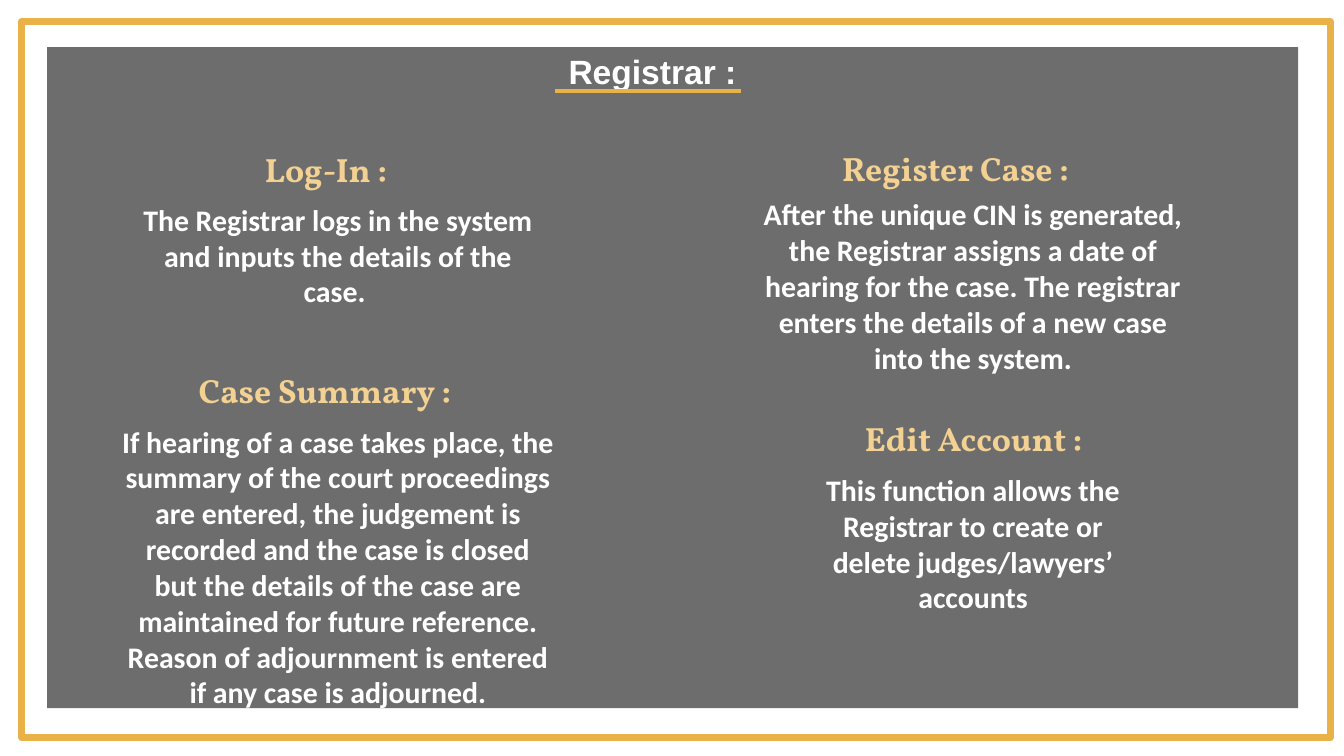
from lxml import etree
from pptx import Presentation
from pptx.dml.color import RGBColor
from pptx.enum import shapes, text
from pptx.oxml.ns import qn
from pptx.util import Inches, Pt

WHITE, GOLD, SAND, CHARCOAL = "FFFFFF", "E9B249", "F2D192", "2A2828"
CENTER, LEFT = text.PP_ALIGN.CENTER, text.PP_ALIGN.LEFT

TITLE = ("Registrar :", (2.1, 0.35, 5.51, 0.36))
# heading, its box, its alignment, body, its box
SECTIONS = [
    ("Log-In :", (1.79, 1.06, 1.27, 0.4), CENTER,
     "The Registrar logs in the system and inputs the details of the case. ",
     (0.91, 1.45, 3.21, 0.64)),
    ("Register Case :", (6.15, 1.05, 1.92, 0.4), CENTER,
     "After the unique CIN is generated, the Registrar assigns a date of hearing "
     "for the case. The registrar enters the details of a new case into the system.",
     (5.53, 1.41, 3.42, 1.18)),
    ("Case Summary :", (1.38, 2.7, 2.35, 0.4), LEFT,
     "If hearing of a case takes place, the summary of the court proceedings are "
     "entered, the judgement is recorded and the case is closed but the details of "
     "the case are maintained for future reference. Reason of adjournment is "
     "entered if any case is adjourned.",
     (0.81, 3.1, 3.41, 1.99)),
    ("Edit Account :", (6.07, 3.06, 2.35, 0.4), CENTER,
     "This function allows the Registrar to create or delete judges/lawyers’ accounts",
     (5.88, 3.46, 2.72, 0.91)),
]


def color(value):
    return RGBColor.from_string(value)


def add_rectangle(slide, box):
    shape = slide.shapes.add_shape(
        shapes.MSO_SHAPE.RECTANGLE, *(Inches(length) for length in box))
    shape.shadow.inherit = False
    return shape


def add_text(slide, words, box, font_name, size, font_color,
             alignment=CENTER, anchor=text.MSO_ANCHOR.TOP):
    frame = slide.shapes.add_textbox(*(Inches(length) for length in box)).text_frame
    frame.word_wrap = True
    frame.vertical_anchor = anchor
    paragraph = frame.paragraphs[0]
    paragraph.text = words
    paragraph.alignment = alignment
    font = paragraph.font
    font.name, font.size, font.bold = font_name, Pt(size), True
    font.color.rgb = color(font_color)


presentation = Presentation()
presentation.slide_width = Inches(10)
presentation.slide_height = presentation.slide_width * 9 // 16
slide = presentation.slides.add_slide(presentation.slide_layouts[6])

panel = add_rectangle(slide, (0.35, 0.35, 9.31, 4.92))
panel.fill.solid()
panel.fill.fore_color.rgb = color(CHARCOAL)
panel.line.fill.background()
panel_color = panel._element.spPr.find(".//" + qn("a:srgbClr"))
etree.SubElement(panel_color, qn("a:alpha"), val="68000")

border = add_rectangle(slide, (0.16, 0.16, 9.74, 5.33))
border.fill.background()
border.line.color.rgb = color(GOLD)
border.line.width = Pt(3.5)

add_text(slide, *TITLE, "Arial", 18, WHITE, anchor=text.MSO_ANCHOR.MIDDLE)
underline = slide.shapes.add_connector(
    shapes.MSO_CONNECTOR.STRAIGHT, Inches(4.13), Inches(0.68), Inches(5.51), Inches(0.68))
underline.line.color.rgb = color(GOLD)
underline.line.width = Pt(2)
etree.SubElement(underline._element.spPr, qn("a:effectLst"))

for heading, heading_box, alignment, body, body_box in SECTIONS:
    add_text(slide, heading, heading_box, "Vollkorn", 18, SAND, alignment)
    add_text(slide, body, body_box, "Calibri", 16, WHITE)

presentation.save("out.pptx")
